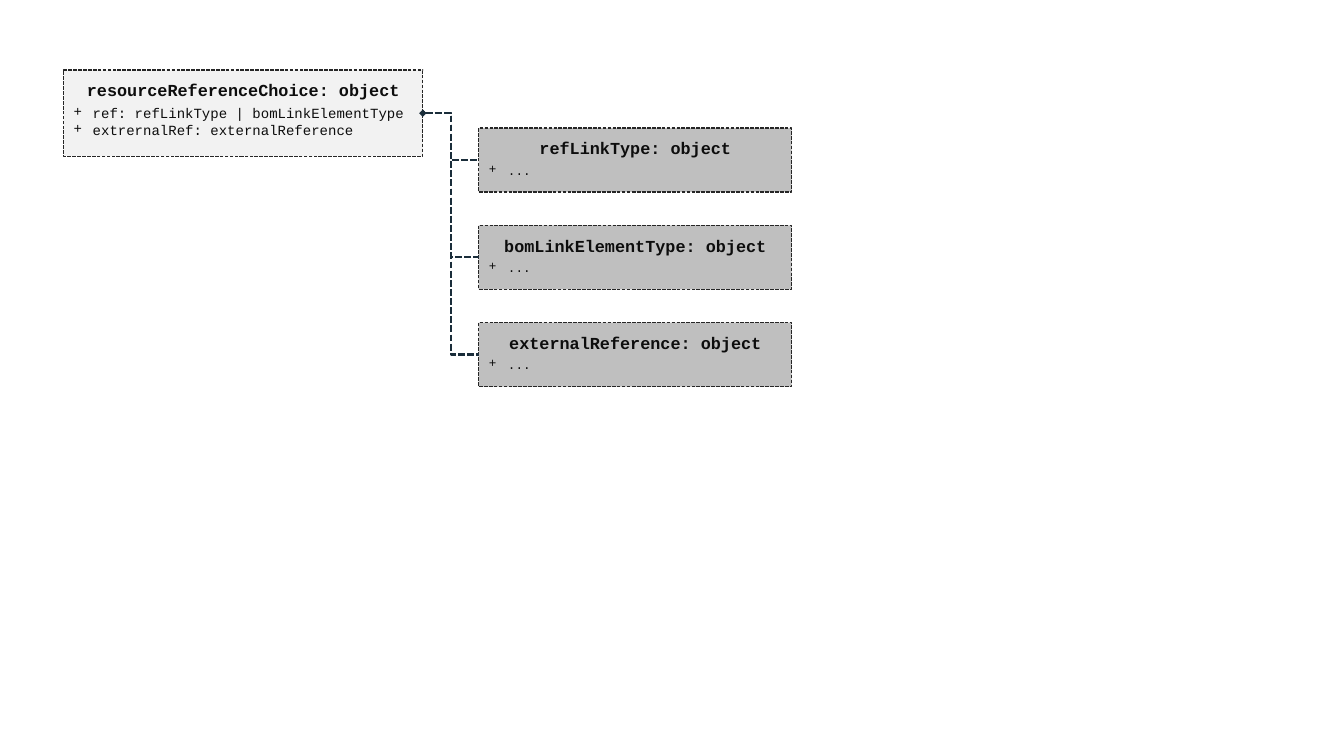
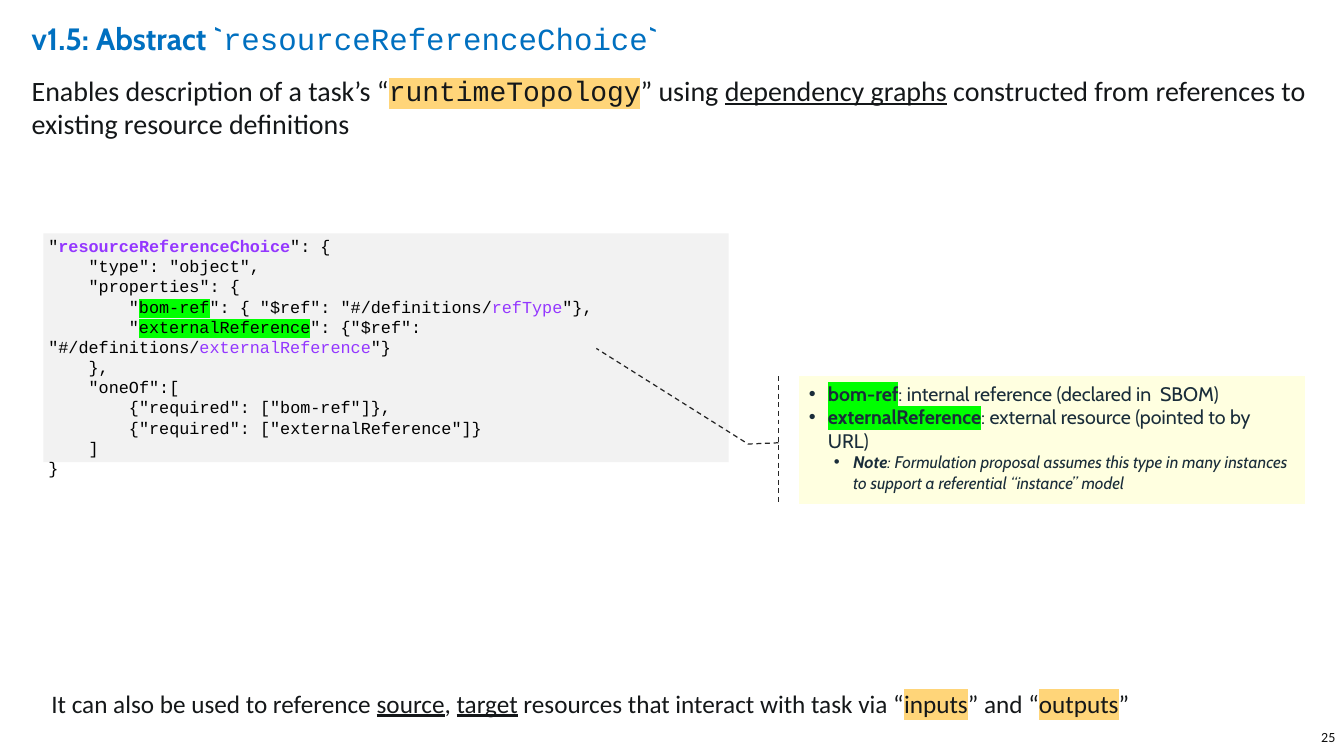
from lxml import etree
from pptx import Presentation
from pptx.dml.color import RGBColor
from pptx.enum.dml import MSO_LINE
from pptx.enum.shapes import MSO_CONNECTOR, MSO_SHAPE
from pptx.enum.text import MSO_ANCHOR, PP_ALIGN
from pptx.oxml.ns import qn
from pptx.util import Emu, Pt

PX = 9144  # EMU per px, 100 px to the inch
SLIDE_SIZE = (2667, 1500)

INK = RGBColor(0x0D, 0x0D, 0x0D)
BODY = RGBColor(0x14, 0x17, 0x19)
NAVY = RGBColor(0x1A, 0x2D, 0x3A)
BLACK = RGBColor(0, 0, 0)
BLUE = RGBColor(0x00, 0x70, 0xC0)
PURPLE = RGBColor(0x94, 0x37, 0xFF)
OUTLINE = RGBColor(0x26, 0x26, 0x26)
PALE = RGBColor(0xF2, 0xF2, 0xF2)
GREY = RGBColor(0xBF, 0xBF, 0xBF)
CREAM = RGBColor(0xFF, 0xFF, 0xE0)
GREEN = RGBColor(0x00, 0xFF, 0x00)
AMBER = RGBColor(0xFF, 0xD5, 0x79)

MONO, SANS, HEADING = "Courier New", "Calibri", "Cabin"
RECTANGLE = MSO_SHAPE.RECTANGLE
CALLOUT = MSO_SHAPE.LINE_CALLOUT_2_ACCENT_BAR
ELBOW = MSO_CONNECTOR.ELBOW
SHORT_DASH, DASH = MSO_LINE.SQUARE_DOT, MSO_LINE.DASH
LEFT, CENTER, RIGHT = PP_ALIGN.LEFT, PP_ALIGN.CENTER, PP_ALIGN.RIGHT
TOP, MIDDLE = MSO_ANCHOR.TOP, MSO_ANCHOR.MIDDLE
LEFT_SIDE, RIGHT_SIDE = 1, 3

# Span styles
BOLD, UNDERLINE = {"bold": True}, {"underline": True}
NAME = {"color": PURPLE}
MARK_GREEN, MARK_AMBER = {"highlight": GREEN}, {"highlight": AMBER}
TERM = BOLD | MARK_GREEN
NOTE = {"size": 24, "italic": True}

# Class diagram: heading, members
CHOICE = ("resourceReferenceChoice: object",
          ["ref: refLinkType | bomLinkElementType", "extrernalRef: externalReference"])
TARGETS = ["refLinkType: object", "bomLinkElementType: object", "externalReference: object"]
CHOICE_AREA = (126, 139, 713, 171)
TARGET_AREA = (950, 254, 621, 127)
TARGET_STEP = 193

# Schema slide: each paragraph is a list of plain texts or (text, style) spans
TITLE = [["v1.5: Abstract `",
          ("resourceReferenceChoice", {"font": MONO, "bold": False}), "`"]]
INTRO = [["Enables description of a task’s “",
          ("runtimeTopology", {"font": MONO} | MARK_AMBER), "” using ",
          ("dependency graphs", UNDERLINE),
          " constructed from references to existing resource definitions"]]
CODE = [
    ['"', ("resourceReferenceChoice", NAME | BOLD), '": {'],
    ['    "type": "object",'],
    ['    "properties": {'],
    ['        "', ("bom-ref", MARK_GREEN), '": { "$ref": "#/definitions/',
     ("refType", NAME), '"},'],
    ['        "', ("externalReference", MARK_GREEN), '": {"$ref": "#/definitions/',
     ("externalReference", NAME), '"}'],
    ['    },'],
    ['    "oneOf":['],
    ['        {"required": ["bom-ref"]},'],
    ['        {"required": ["externalReference"]}'],
    ['    ]'],
    ['}'],
]
TERMS = [
    [("bom-ref", TERM), ": internal reference (declared in  SBOM)"],
    [("externalReference", TERM), ": external resource (pointed to by URL)"],
]
TERM_NOTE = [[("Note", NOTE | BOLD),
              (": Formulation proposal assumes this type in many instances "
               "to support a referential “instance” model", NOTE)]]
CLOSING = [["It can also be used to reference ", ("source", UNDERLINE), ", ",
            ("target", UNDERLINE), " resources that interact with task via “",
            ("inputs", MARK_AMBER), "” and “", ("outputs", MARK_AMBER), "”"]]
PAGE_NUMBER = [["25"]]
CALLOUT_POINTS = [0.52, -0.04, 0.53, -0.1, -0.22, -0.4]


def place(area):
    return [Emu(length * PX) for length in area]


def add_span(para, text, font=SANS, size=24, color=INK, bold=False, italic=False,
             underline=False, highlight=None):
    span = para.add_run()
    span.text = text
    span.font.name, span.font.size = font, Pt(size)
    span.font.bold, span.font.italic, span.font.underline = bold, italic, underline
    span.font.color.rgb = color
    if highlight is not None:
        mark = etree.Element(qn("a:highlight"))
        etree.SubElement(mark, qn("a:srgbClr"), val=str(highlight))
        span.font._element.find(qn("a:solidFill")).addnext(mark)


def add_bullet(para, sign, sign_font, level):
    para.level = level
    properties = para._p.get_or_add_pPr()
    properties.set("marL", str((38 + 50 * level) * PX))
    properties.set("indent", str(-38 * PX))
    etree.SubElement(properties, qn("a:buFont"), typeface=sign_font)
    etree.SubElement(properties, qn("a:buChar"), char=sign)


def write(box, paragraphs, align=LEFT, bullet=None, bullet_font="Arial", level=0,
          space_after=0, line_spacing=None, **style):
    """Add paragraphs to a box; style holds the defaults for their spans."""
    frame = box.text_frame
    for spans in paragraphs:
        para = frame.paragraphs[0]
        if para.runs:
            para = frame.add_paragraph()
        if bullet:
            add_bullet(para, bullet, bullet_font, level)
        para.alignment = align
        para.space_after = Pt(space_after)
        if line_spacing:
            para.line_spacing = line_spacing
        for span in spans:
            text, special = (span, {}) if isinstance(span, str) else span
            add_span(para, text, **(style | special))


def set_frame(box, insets=(10, 5, 10, 5), anchor=TOP):
    frame = box.text_frame
    frame.word_wrap = True
    frame.vertical_anchor = anchor
    (frame.margin_left, frame.margin_top,
     frame.margin_right, frame.margin_bottom) = place(insets)


def add_text(page, area, paragraphs, insets=(10, 5, 10, 5), anchor=TOP, **style):
    box = page.shapes.add_textbox(*place(area))
    set_frame(box, insets, anchor)
    write(box, paragraphs, **style)


def add_panel(page, area, fill, kind=RECTANGLE, dash=None, insets=(10, 5, 10, 5)):
    panel = page.shapes.add_shape(kind, *place(area))
    panel.shadow.inherit = False
    panel.fill.solid()
    panel.fill.fore_color.rgb = fill
    if dash is None:
        panel.line.fill.background()
    else:
        style_line(panel.line, OUTLINE, 1.75, dash)
    set_frame(panel, insets)
    return panel


def style_line(line, color, width, dash):
    line.color.rgb = color
    line.width = Pt(width)
    line.dash_style = dash


def add_class(page, area, fill, heading, members, member_size):
    box = add_panel(page, area, fill, dash=SHORT_DASH, insets=(20, 20, 20, 20))
    write(box, [[heading]], align=CENTER, space_after=6, font=MONO, bold=True)
    write(box, [[member] for member in members], bullet="+", bullet_font=MONO,
          font=MONO, size=member_size)
    return box


def join(page, owner, part):
    link = page.shapes.add_connector(ELBOW, 0, 0, 0, 0)
    link.begin_connect(owner, RIGHT_SIDE)
    link.end_connect(part, LEFT_SIDE)
    style_line(link.line, NAVY, 3.25, SHORT_DASH)
    etree.SubElement(link.line._get_or_add_ln(), qn("a:headEnd"), type="diamond")
    etree.SubElement(link._element.spPr, qn("a:effectLst"))


def build_diagram(page):
    choice = add_class(page, CHOICE_AREA, PALE, *CHOICE, member_size=20)
    left, top, width, height = TARGET_AREA
    targets = [add_class(page, (left, top + row * TARGET_STEP, width, height),
                         GREY, heading, ["..."], member_size=18)
               for row, heading in enumerate(TARGETS)]
    for target in targets:
        join(page, choice, target)


def build_schema(page):
    code = add_panel(page, (86, 463, 1360, 454), PALE)
    write(code, CODE, font=MONO, color=BLACK)
    add_text(page, (2185, 1445, 465, 40), PAGE_NUMBER, insets=(0, 0, 0, 0),
             align=RIGHT, size=20)
    add_text(page, (53, 33, 2477, 94), TITLE, anchor=MIDDLE, line_spacing=0.9,
             font=HEADING, size=44, color=BLUE, bold=True)
    add_text(page, (53, 140, 2560, 145), INTRO, size=40, color=BODY)

    # Callout with its leader pointing into the code
    callout = add_panel(page, (1585, 747, 1004, 253), CREAM, kind=CALLOUT, dash=DASH,
                        insets=(20, 10, 20, 20))
    for index, point in enumerate(CALLOUT_POINTS):
        callout.adjustments[index] = point
    write(callout, TERMS, bullet="•", font=HEADING, size=28, color=NAVY)
    write(callout, TERM_NOTE, bullet="•", level=1, font=HEADING, color=NAVY)

    add_text(page, (92, 1360, 2482, 71), CLOSING, size=36, color=BODY)


def main():
    deck = Presentation()
    deck.slide_width, deck.slide_height = place(SLIDE_SIZE)
    blank = deck.slide_layouts[6]
    for build in (build_diagram, build_schema):
        build(deck.slides.add_slide(blank))
    deck.save("out.pptx")


if __name__ == "__main__":
    main()
